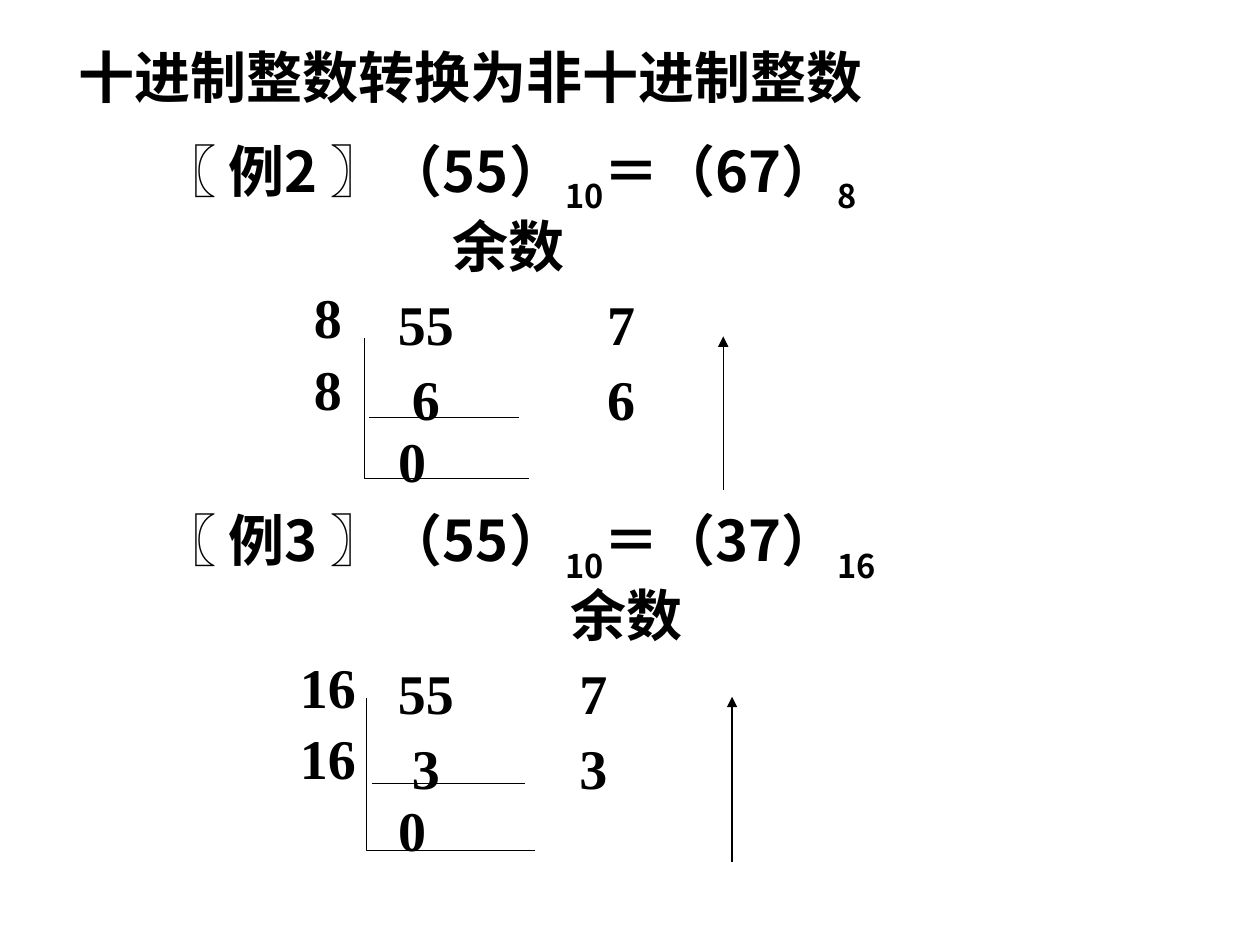
from dataclasses import dataclass

from lxml.etree import SubElement
from pptx import Presentation
from pptx.dml.color import RGBColor
from pptx.enum.shapes import MSO_CONNECTOR
from pptx.enum.text import MSO_ANCHOR, MSO_AUTO_SIZE, PP_ALIGN
from pptx.oxml.ns import qn
from pptx.util import Inches, Pt


@dataclass(frozen=True)
class Theme:
    ink: RGBColor = RGBColor(0, 0, 0)
    paper: RGBColor = RGBColor(255, 255, 255)
    cjk: str = "Noto Sans CJK SC"
    digits: str = "Times New Roman"
    size: Pt = Pt(32)
    row_gap: Pt = Pt(8)
    rule: Pt = Pt(0.5)
    arrow: Pt = Pt(0.75)


THEME = Theme()
COLUMN_WIDTH, COLUMN_HEIGHT = 0.6, 1.1


@dataclass(frozen=True)
class Example:
    number: int
    result: str
    base: str
    heading_x: float  # indents are measured from the text edge of the body
    divisor_x: float
    dividends: tuple
    remainders: tuple
    remainder_center: float
    column_top: float
    box: tuple  # left, top, width, height of the division bracket
    rule_y: float
    arrow_x: float


EXAMPLES = (
    Example(2, "67", "8", 3.05, 1.95, ("55", "6"), ("7", "6"), 4.93, 2.36,
            (2.89, 2.68, 1.31, 1.12), 0.63, 2.85),
    Example(3, "37", "16", 3.99, 1.84, ("55", "3"), ("7", "3"), 4.71, 5.29,
            (2.91, 5.54, 1.34, 1.21), 0.68, 2.9),
)
DIVIDEND_CENTER = 3.38
ZERO_X = 2.62


def place(sp, left, top, width, height):
    sp.left, sp.top = Inches(left), Inches(top)
    sp.width, sp.height = Inches(width), Inches(height)


def add_run(p, text, font=THEME.cjk, subscript=False):
    r = p.add_run()
    r.text = text
    r.font.size, r.font.bold, r.font.name = THEME.size, True, font
    r.font.color.rgb = THEME.ink
    rPr = r.font._element
    SubElement(rPr, qn("a:ea")).set("typeface", THEME.cjk)
    if subscript:
        rPr.set("baseline", "-30000")


def add_line(tf, margin, indent, align=PP_ALIGN.JUSTIFY):
    """Start a paragraph with no bullet; the first one has no space before."""
    first = not tf.paragraphs[0].runs
    p = tf.paragraphs[0] if first else tf.add_paragraph()
    pPr = p._p.get_or_add_pPr()
    pPr.set("marL", str(Inches(margin)))
    pPr.set("indent", str(Inches(indent)))
    SubElement(pPr, qn("a:buNone"))
    p.alignment, p.line_spacing = align, 0.9
    if first:
        p.space_before = Pt(0)
    return p


def write_title(sp, box):
    place(sp, *box)
    tf = sp.text_frame
    tf.auto_size, tf.vertical_anchor = MSO_AUTO_SIZE.NONE, MSO_ANCHOR.TOP
    tf.margin_left, tf.margin_top = Inches(0.27), Inches(0.05)
    p = tf.paragraphs[0]
    p.alignment = PP_ALIGN.LEFT
    add_run(p, "十进制整数转换为非十进制整数")


def write_example(tf, ex):
    p = add_line(tf, 0.38, 0.35)
    add_run(p, f"〖 例{ex.number} 〗（55）")
    add_run(p, "10", subscript=True)
    add_run(p, f"＝（{ex.result}）")
    add_run(p, ex.base, subscript=True)
    add_run(add_line(tf, 0, ex.heading_x), "余数")
    for _ in ex.dividends:
        add_run(add_line(tf, 0, ex.divisor_x), ex.base, THEME.digits)
    add_run(add_line(tf, 0, ZERO_X), "0", THEME.digits)


def write_body(sp, box):
    place(sp, *box)
    tf = sp.text_frame
    tf.auto_size, tf.vertical_anchor = MSO_AUTO_SIZE.NONE, MSO_ANCHOR.TOP
    for ex in EXAMPLES:
        write_example(tf, ex)


def write_column(slide, center, top, values):
    """Stack centred digits on the same pitch as the rows of the body."""
    box = (center - COLUMN_WIDTH / 2, top, COLUMN_WIDTH, COLUMN_HEIGHT)
    tf = slide.shapes.add_textbox(*(Inches(v) for v in box)).text_frame
    tf.word_wrap = True
    tf.margin_left = tf.margin_right = tf.margin_top = tf.margin_bottom = 0
    for i, value in enumerate(values):
        p = add_line(tf, 0, 0, PP_ALIGN.CENTER)
        if i:
            p.space_before = THEME.row_gap
        add_run(p, value, THEME.digits)


def add_connector(shapes, start, end, weight):
    ends = [Inches(v) for v in (*start, *end)]
    line = shapes.add_connector(MSO_CONNECTOR.STRAIGHT, *ends)
    line.line.color.rgb, line.line.width = THEME.ink, weight
    SubElement(line._element.spPr, qn("a:effectLst"))
    return line


def draw_division(slide, ex):
    """Draw the bracket, the inner rule and the upward reading arrow."""
    left, top, width, height = ex.box
    right, bottom = left + width, top + height
    shapes = slide.shapes.add_group_shape().shapes

    outline = shapes.build_freeform(Inches(left), Inches(top))
    outline.add_line_segments([(Inches(left), Inches(bottom)),
                               (Inches(right), Inches(bottom))], close=False)
    bracket = outline.convert_to_shape()
    bracket.fill.background()
    bracket.line.color.rgb, bracket.line.width = THEME.ink, THEME.rule
    bracket.shadow.inherit = False

    y = top + ex.rule_y
    add_connector(shapes, (left + 0.04, y), (right - 0.08, y), THEME.rule)

    x = left + ex.arrow_x
    arrow = add_connector(shapes, (x, bottom + 0.09), (x, top - 0.01), THEME.arrow)
    SubElement(arrow.line._get_or_add_ln(), qn("a:tailEnd")).set("type", "triangle")


def build_slide(prs):
    slide = prs.slides.add_slide(prs.slide_layouts[1])
    slide.background.fill.solid()
    slide.background.fill.fore_color.rgb = THEME.paper
    title, body = slide.placeholders
    write_title(title, (0.35, 0.29, 8.32, 1.25))
    write_body(body, (0.44, 1.03, 8.99, 6.24))
    for ex in EXAMPLES:
        write_column(slide, DIVIDEND_CENTER, ex.column_top, ex.dividends)
        write_column(slide, ex.remainder_center, ex.column_top, ex.remainders)
        draw_division(slide, ex)


def main():
    prs = Presentation()
    prs.slide_width, prs.slide_height = Inches(10), Inches(7.5)
    build_slide(prs)
    prs.save("out.pptx")


if __name__ == "__main__":
    main()
